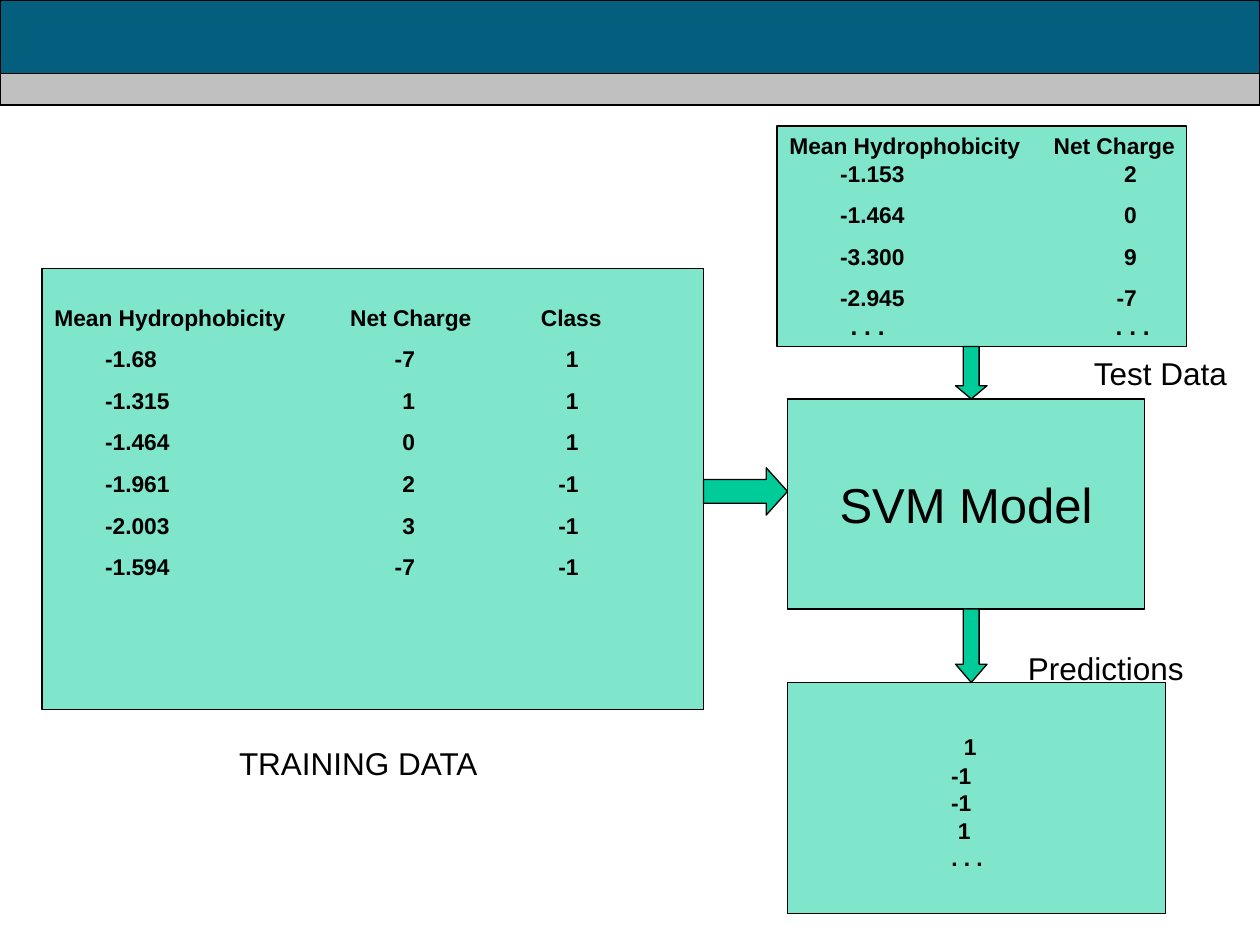
import pptx
import pptx.util
import pptx.dml.color
import pptx.enum.shapes
import pptx.enum.text
import pptx.oxml
import pptx.oxml.ns
from dataclasses import dataclass
from lxml import etree

Pt = pptx.util.Pt
RGB = pptx.dml.color.RGBColor.from_string
MSO = pptx.enum.shapes.MSO_SHAPE
ALIGN = pptx.enum.text.PP_ALIGN
ANCHOR = pptx.enum.text.MSO_ANCHOR
qn = pptx.oxml.ns.qn


@dataclass
class Theme:
    font: str = "Arial"
    ink: str = "000000"
    band: str = "045E7E"
    strip: str = "C0C0C0"
    green: str = "00CC99"
    data: int = 13
    dots: int = 14
    label: int = 18
    model: int = 28
    row_gap: float = 8.1


theme = Theme()

prs = pptx.Presentation()
prs.slide_width, prs.slide_height = Pt(720), Pt(540)
s = prs.slides.add_slide(prs.slide_layouts[6])


def add_shape(kind, box, fill, alpha=None):
    sp = s.shapes.add_shape(kind, *map(Pt, box))
    sp.shadow.inherit = False
    sp.fill.solid()
    sp.fill.fore_color.rgb = RGB(fill)
    sp.line.color.rgb = RGB(theme.ink)
    sp.line.width = Pt(0.75)
    if alpha:
        color = sp.fill._xPr.find(qn("a:solidFill"))[0]
        etree.SubElement(color, qn("a:alpha"), val=str(alpha * 1000))
    return sp


def write(tf, lines, anchor=ANCHOR.MIDDLE, wrap=True):
    """Each line is (text, size, bold, alignment, space before, tab stops)."""
    tf.word_wrap = wrap
    tf.vertical_anchor = anchor
    for i, (text, size, bold, align, before, tabs) in enumerate(lines):
        p = tf.paragraphs[0] if i == 0 else tf.add_paragraph()
        p.text = text
        p.alignment = align
        if i and before:
            p.space_before = Pt(before)
        if tabs:
            tab_list = etree.SubElement(p._p.get_or_add_pPr(), qn("a:tabLst"))
            for pos, side in tabs:
                etree.SubElement(tab_list, qn("a:tab"), pos=str(int(Pt(pos))), algn=side)
        p.font.name = theme.font
        p.font.size = Pt(size)
        p.font.bold = bold
        p.font.color.rgb = RGB(theme.ink)


# Header bands
add_shape(MSO.RECTANGLE, (0, 0, 720, 60), theme.band)
add_shape(MSO.RECTANGLE, (0, 42, 720, 18), theme.strip)

# Boxes
training, model, test, predictions = [
    add_shape(MSO.RECTANGLE, box, theme.green, 50)
    for box in [(24, 153.4, 378, 252), (450, 228, 204, 120),
                (444, 72, 234, 126), (450, 390, 216, 132)]
]

write(model.text_frame, [("SVM Model", theme.model, False, ALIGN.CENTER, 0, [])])

# Test data
test_tabs = [(29, "l"), (198.5, "r")]
test_rows = [("-1.153", "2"), ("-1.464", "0"), ("-3.300", "9"), ("-2.945", "-7")]
lines = [("Mean Hydrophobicity\tNet Charge", theme.data, True, ALIGN.LEFT, 0, [(151, "l")])]
for i, row in enumerate(test_rows):
    lines.append(("\t" + "\t".join(row), theme.data, True, ALIGN.LEFT,
                  theme.row_gap if i else 0, test_tabs))
lines.append(("\t. . .\t. . .", theme.dots, True, ALIGN.LEFT, 0, [(35, "l"), (186.5, "l")]))
write(test.text_frame, lines)
test.text_frame.margin_right = 0

# Predicted classes
lines = [("\t" + value, theme.data, True, ALIGN.LEFT, 0, [(stop, side)])
         for value, stop, side in [("1", 101, "r"), ("-1", 98, "r"), ("-1", 98, "r"),
                                   ("1", 97.5, "r"), (". . .", 86.5, "l")]]
write(predictions.text_frame, lines)
predictions.text_frame.margin_top = Pt(8)
predictions.text_frame.paragraphs[0].space_after = Pt(1)

# Arrows
for kind, box, head in [(MSO.RIGHT_ARROW, (402, 267.3, 48, 27), 0.45),
                        (MSO.DOWN_ARROW, (546, 198, 18, 30), 0.42),
                        (MSO.DOWN_ARROW, (546, 348, 18, 42), 0.58)]:
    arrow = add_shape(kind, box, theme.green)
    arrow.adjustments[0] = 0.5
    arrow.adjustments[1] = head

# Training data
training_tabs = [(29, "l"), (206, "r"), (299.5, "r")]
training_rows = [("-1.68", "-7", "1"), ("-1.315", "1", "1"), ("-1.464", "0", "1"),
                 ("-1.961", "2", "-1"), ("-2.003", "3", "-1"), ("-1.594", "-7", "-1")]
lines = [("Mean Hydrophobicity\tNet Charge\tClass", theme.data, True, ALIGN.LEFT, 0,
          [(169, "l"), (278, "l")])]
lines += [("\t" + "\t".join(row), theme.data, True, ALIGN.LEFT, theme.row_gap, training_tabs)
          for row in training_rows]
tb = s.shapes.add_textbox(Pt(24), Pt(170), Pt(378), Pt(165.6))
write(tb.text_frame, lines, ANCHOR.TOP)

# Labels
for text, box, align in [("Test Data", (618, 198.7, 92, 29), ALIGN.LEFT),
                         ("TRAINING DATA", (128, 421.5, 153.5, 29), ALIGN.CENTER),
                         ("Predictions", (575.5, 367.3, 108, 29), ALIGN.RIGHT)]:
    tb = s.shapes.add_textbox(*map(Pt, box))
    write(tb.text_frame, [(text, theme.label, False, align, 0, [])], ANCHOR.TOP, wrap=False)

prs.save("out.pptx")
